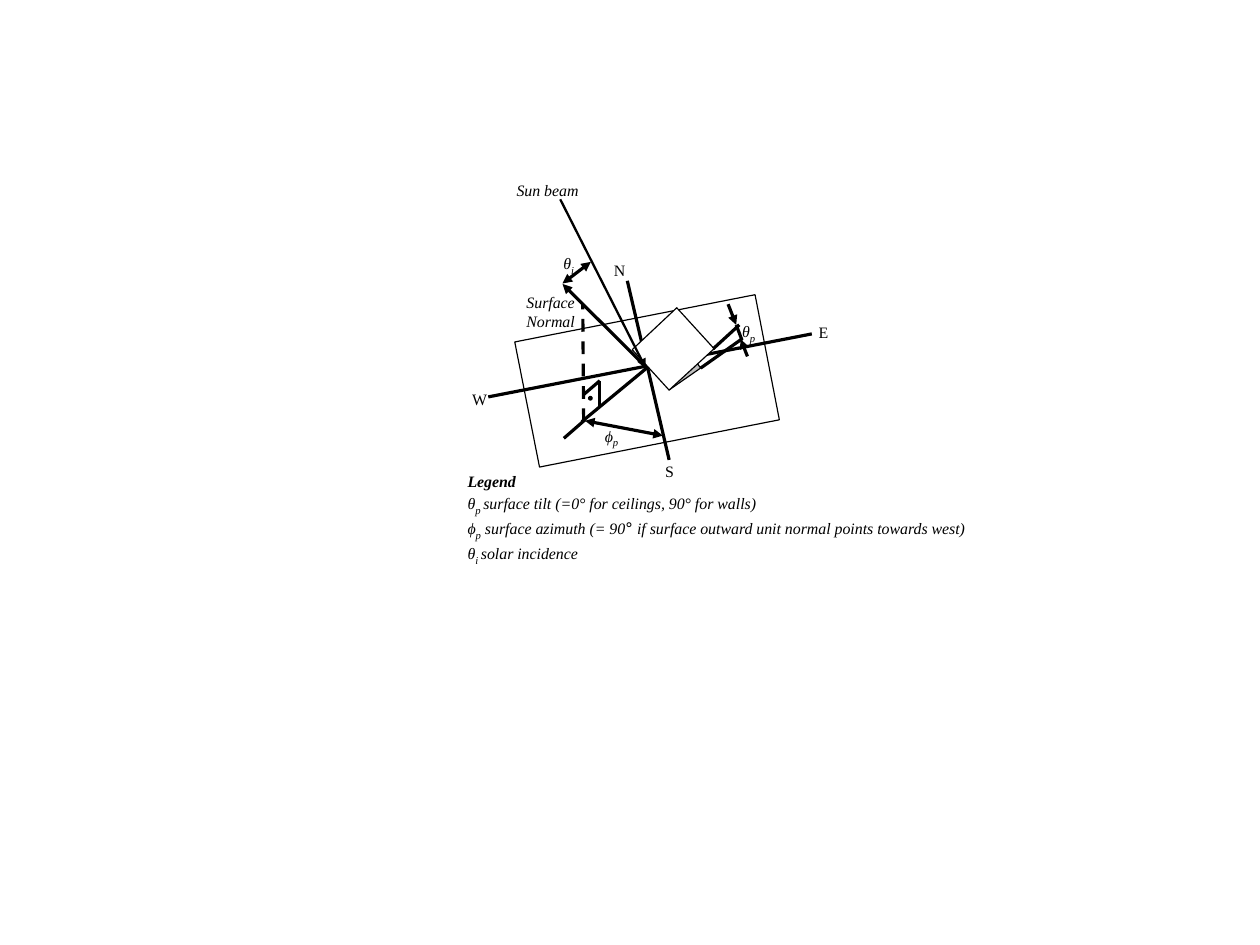
"""Draws the solar incidence geometry of a tilted surface with its legend."""
from lxml.etree import SubElement
from pptx import Presentation
from pptx.dml.color import RGBColor
from pptx.enum.dml import MSO_LINE
from pptx.enum.shapes import MSO_CONNECTOR, MSO_SHAPE
from pptx.oxml.ns import qn
from pptx.util import Cm, Pt

STRAIGHT = MSO_CONNECTOR.STRAIGHT
OVAL = MSO_SHAPE.OVAL
DASH = MSO_LINE.DASH
BLACK = RGBColor(0, 0, 0)
WHITE = RGBColor(255, 255, 255)
GREY = RGBColor(192, 192, 192)
SERIF = "Times New Roman"
SYMBOL = "DejaVu Sans"

prs = Presentation()
prs.slide_width, prs.slide_height = Cm(28), Cm(21)
s = prs.slides.add_slide(prs.slide_layouts[6])


def add_line(start, end, arrows=(), width=0, dash=None):
    cn = s.shapes.add_connector(STRAIGHT, *map(Cm, start + end))
    cn.line.color.rgb = BLACK
    cn.line.width = Pt(width)
    if dash:
        cn.line.dash_style = dash
    for arrow in arrows:
        SubElement(cn.line._ln, qn(f"a:{arrow}"), type="triangle")
    SubElement(cn._element.spPr, qn("a:effectLst"))


def add_text(left, top, width, height, paragraphs, wrap=False):
    tf = s.shapes.add_textbox(Cm(left), Cm(top), Cm(width), Cm(height)).text_frame
    tf.word_wrap = wrap
    tf.margin_left = tf.margin_right = tf.margin_top = tf.margin_bottom = 0
    for i, runs in enumerate(paragraphs):
        p = tf.add_paragraph() if i else tf.paragraphs[0]
        for text, style in runs:
            r = p.add_run()
            r.text = text
            r.font.name = SYMBOL if style == "symbol" else SERIF
            r.font.size = Pt(11.6 if style == "sub" else 10)
            r.font.italic = style != "plain"
            r.font.bold = style == "bold"
            r.font.color.rgb = BLACK
            if style == "sub":
                r.font._element.set("baseline", "-25000")


ground_lines = [
    ((10.85, 8.82), (18.04, 7.42), ()),
    ((14.87, 10.22), (13.94, 6.24), ()),
    ((14.38, 8.18), (12.5, 6.31), ("tailEnd",)),
    ((14.83, 7.8), (12.93, 9.37), ()),
    ((13, 9.35), (14.73, 9.68), ("headEnd", "tailEnd")),
    ((12.98, 8.76), (13.33, 8.46), ()),
    ((13.33, 9.04), (13.33, 8.46), ()),
    ((12.5, 6.3), (13.13, 5.82), ("headEnd", "tailEnd")),
    ((13, 9.33), (12.53, 9.74), ()),
]
tilt_lines = [
    ((15.57, 8.18), (16.49, 7.53), ()),
    ((15.85, 7.75), (16.43, 7.22), ()),
    ((16.36, 7.22), (16.18, 6.76), ("headEnd",)),
    ((16.46, 7.54), (16.61, 7.92), ("headEnd",)),
    ((16.49, 7.56), (16.36, 7.22), ()),
]
planes = [
    (None, [(11.44, 7.6), (16.78, 6.55), (17.32, 9.33), (11.99, 10.38)], ground_lines),
    (GREY, [(15.06, 7.47), (14.38, 7.98), (14.88, 8.66), (15.57, 8.18)], []),
    (WHITE, [(15.04, 6.84), (14.05, 7.77), (14.87, 8.67), (15.87, 7.75)], tilt_lines),
]
for fill, corners, lines in planes:
    points = [(Cm(x), Cm(y)) for x, y in corners]
    builder = s.shapes.build_freeform(*points[0], scale=1.0)
    builder.add_line_segments(points[1:], close=True)
    sp = builder.convert_to_shape()
    sp.shadow.inherit = False
    if fill is None:
        sp.fill.background()
    else:
        sp.fill.solid()
        sp.fill.fore_color.rgb = fill
    sp.line.color.rgb = BLACK
    sp.line.width = Pt(0)
    for start, end, arrows in lines:
        add_line(start, end, arrows)

add_line((12.97, 9.36), (12.95, 6.76), dash=DASH)
add_line((14.35, 8.18), (12.45, 4.43), ("headEnd",), width=1.45)

dot = s.shapes.add_shape(OVAL, Cm(13.08), Cm(8.81), Cm(0.08), Cm(0.08))
dot.shadow.inherit = False
dot.fill.solid()
dot.fill.fore_color.rgb = BLACK
dot.line.color.rgb = BLACK
dot.line.width = Pt(0)

labels = [
    (11.48, 4.01, 1.4, [("Sun beam", "italic")]),
    (13.44, 9.42, 0.66, [("ϕ", "italic"), ("p", "sub")]),
    (12.52, 5.59, 0.41, [("θ", "italic"), ("i", "sub")]),
    (16.49, 7.09, 0.5, [("θ", "italic"), ("p", "sub")]),
    (18.19, 7.16, 0.23, [("E", "plain")]),
    (14.78, 10.26, 0.2, [("S", "plain")]),
    (10.49, 8.66, 0.33, [("W", "plain")]),
    (13.64, 5.79, 0.25, [("N", "plain")]),
]
for left, top, width, runs in labels:
    add_text(left, top, width, 0.43, [runs])
add_text(11.7, 6.5, 1.4, 0.81, [[("Surface Normal", "italic")]], wrap=True)

add_text(10.39, 10.49, 12.09, 1.7, [
    [("Legend", "bold")],
    [("θ", "italic"), ("p ", "sub"),
     ("surface tilt (=0° for ceilings, 90° for walls)", "italic")],
    [("ϕ", "italic"), ("p", "sub"), (" surface azimuth (= 90", "italic"), ("°", "symbol"),
     (" if surface outward unit normal points towards west)", "italic")],
    [("θ", "italic"), ("i ", "sub"), ("solar incidence", "italic")],
], wrap=True)

prs.save("out.pptx")
